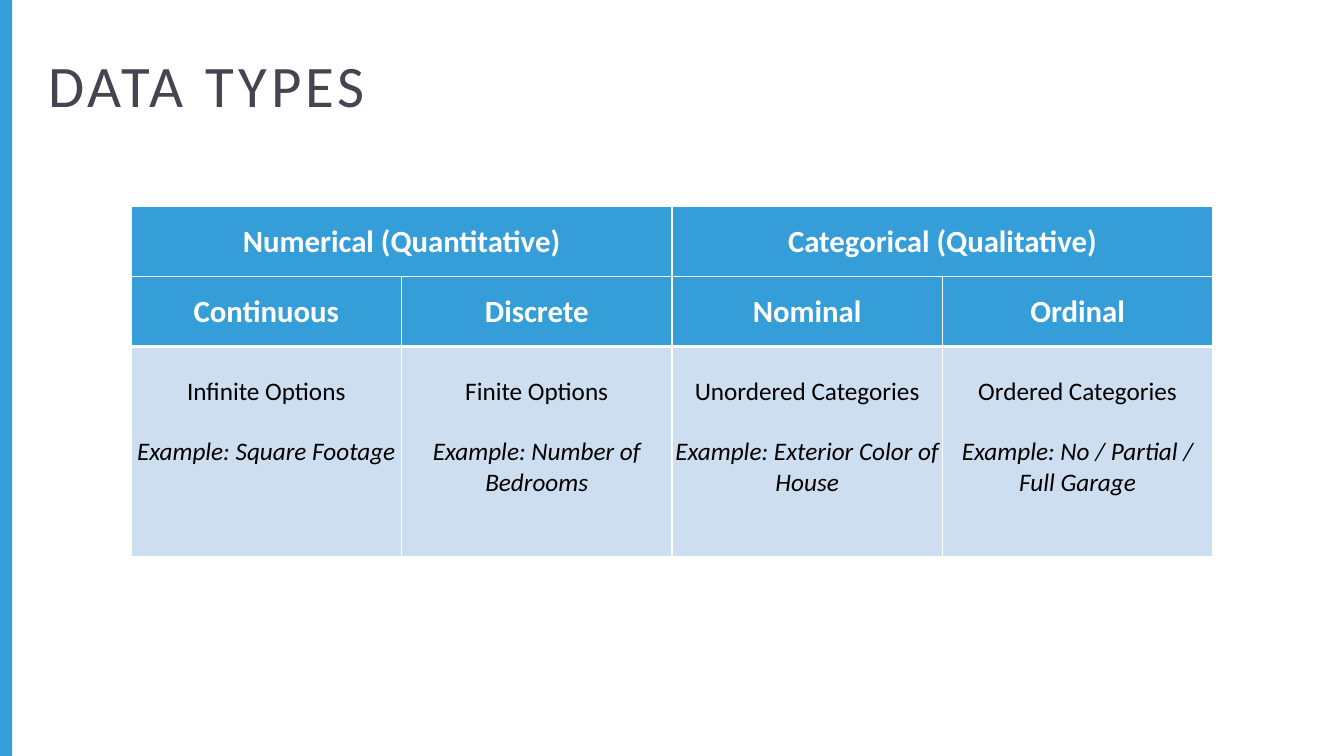
from lxml import etree
from pptx import Presentation
from pptx import util as u
from pptx.dml.color import RGBColor
from pptx.enum import shapes, text
from pptx.oxml.ns import qn

HUES = {"blue": "359ED8", "pale": "CCDEF0", "white": "FFFFFF",
        "dark": "454551", "black": "000000"}
GROUPS = ["Numerical (Quantitative)", "Categorical (Qualitative)"]
TYPES = [
    ("Continuous", "Infinite Options", "Example: Square Footage"),
    ("Discrete", "Finite Options", "Example: Number of Bedrooms"),
    ("Nominal", "Unordered Categories", "Example: Exterior Color of House"),
    ("Ordinal", "Ordered Categories", "Example: No / Partial / Full Garage"),
]


def write(para, words, size, hue, bold=False, italic=False, track=0):
    run = para.add_run()
    run.text = words
    font = run.font
    font.name, font.size = "Calibri", u.Pt(size)
    font.bold, font.italic = bold, italic
    font.color.rgb = RGBColor.from_string(HUES[hue])
    if track:
        run._r.get_or_add_rPr().set("spc", str(track * 100))


class Deck:
    def __init__(self):
        self.show = Presentation()
        self.show.slide_width = u.Inches(13.33)
        self.show.slide_height = u.Inches(7.5)
        self.slide = self.show.slides.add_slide(self.show.slide_layouts[6])

    def bar(self, *box, hue):
        bar = self.slide.shapes.add_shape(
            shapes.MSO_SHAPE.RECTANGLE, *map(u.Inches, box))
        bar.shadow.inherit = False
        bar.fill.solid()
        bar.fill.fore_color.rgb = RGBColor.from_string(HUES[hue])
        bar.line.fill.background()

    def title(self, *box, words):
        frame = self.slide.shapes.add_textbox(*map(u.Inches, box)).text_frame
        frame.word_wrap = True
        frame.vertical_anchor = text.MSO_ANCHOR.MIDDLE
        frame.margin_left = frame.margin_right = u.Inches(0.05)
        frame.margin_top = frame.margin_bottom = u.Inches(0.05)
        para = frame.paragraphs[0]
        para.line_spacing = 0.75
        write(para, words, 42, "dark", track=3)

    def grid(self, *box, rows, cols):
        frame = self.slide.shapes.add_table(rows, cols, *map(u.Inches, box))
        grid = frame.table
        grid.first_row = grid.horz_banding = False
        for r in range(rows):
            for c in range(cols):
                cell = grid.cell(r, c)
                self.edge(cell, top=3 if r == 2 else 1, low=3 if r == 1 else 1)
                cell.fill.solid()
                hue = HUES["blue" if r < 2 else "pale"]
                cell.fill.fore_color.rgb = RGBColor.from_string(hue)
                cell.margin_left = cell.margin_right = 0
                cell.margin_top = cell.margin_bottom = 0
        return grid

    def edge(self, cell, top, low):
        props = cell._tc.get_or_add_tcPr()
        for side, wide in zip("LRTB", (1, 1, top, low)):
            line = etree.SubElement(props, qn(f"a:ln{side}"), w=str(u.Pt(wide)))
            fill = etree.SubElement(line, qn("a:solidFill"))
            etree.SubElement(fill, qn("a:srgbClr"), val=HUES["white"])

    def head(self, cell, words):
        cell.vertical_anchor = text.MSO_ANCHOR.MIDDLE
        para = cell.text_frame.paragraphs[0]
        para.alignment = text.PP_ALIGN.CENTER
        write(para, words, 22, "white", bold=True)

    def body(self, cell, kind, case):
        cell.margin_top = u.Inches(0.3)
        first = cell.text_frame.paragraphs[0]
        last = cell.text_frame.add_paragraph()
        last.space_before = u.Pt(21)
        for para, words in ((first, kind), (last, case)):
            para.alignment = text.PP_ALIGN.CENTER
            write(para, words, 18, "black", italic=para is last)


def main():
    deck = Deck()
    deck.bar(0, 0, 0.12, 7.5, hue="blue")
    deck.title(0.43, 0.37, 10.57, 1.08, words="DATA TYPES")
    grid = deck.grid(1.3, 2.05, 10.73, 3.47, rows=5, cols=4)
    for i, group in enumerate(GROUPS):
        grid.cell(0, 2 * i).merge(grid.cell(0, 2 * i + 1))
        deck.head(grid.cell(0, 2 * i), group)
    for c, (name, kind, case) in enumerate(TYPES):
        deck.head(grid.cell(1, c), name)
        grid.cell(2, c).merge(grid.cell(4, c))
        deck.body(grid.cell(2, c), kind, case)
    deck.show.save("out.pptx")


if __name__ == "__main__":
    main()
